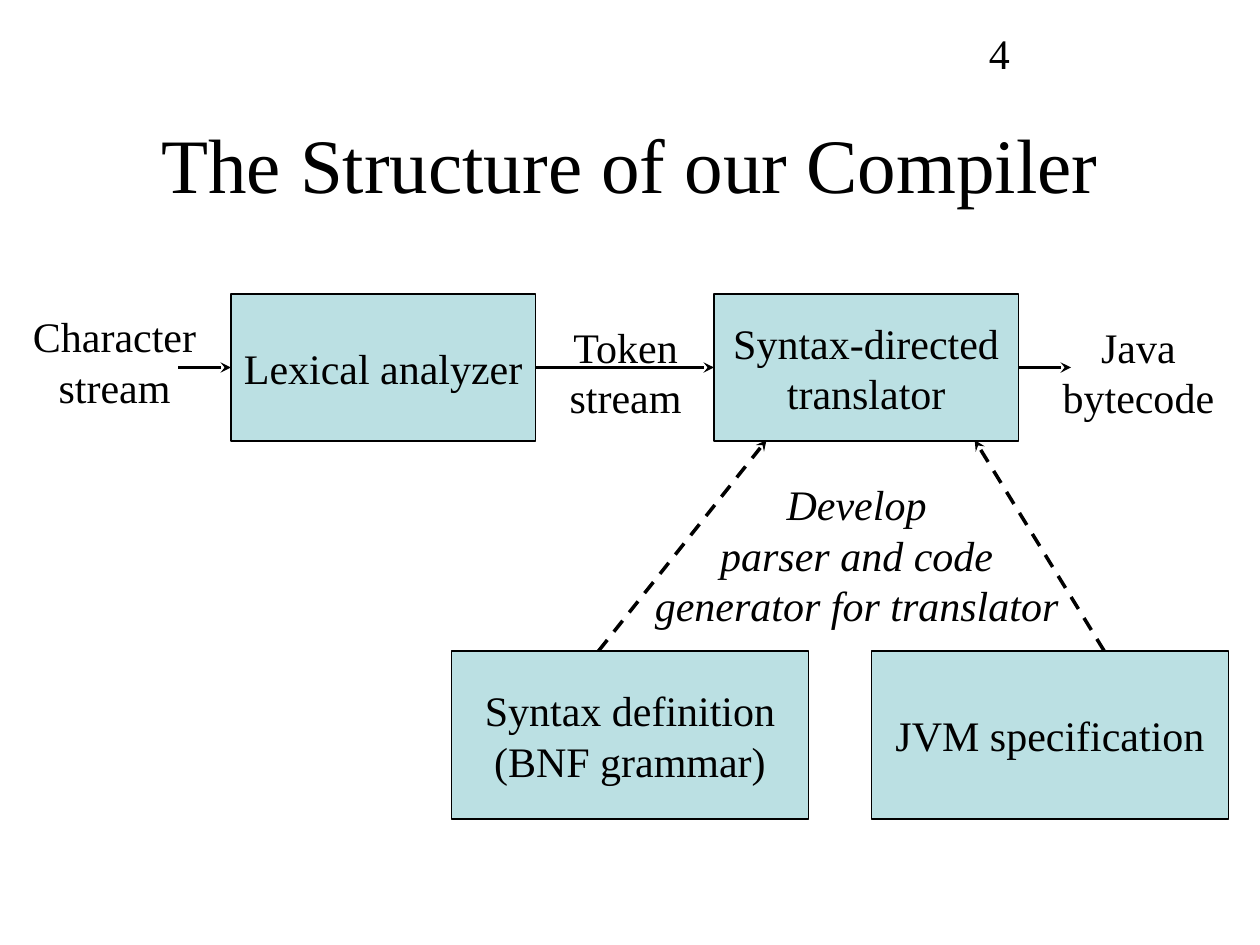
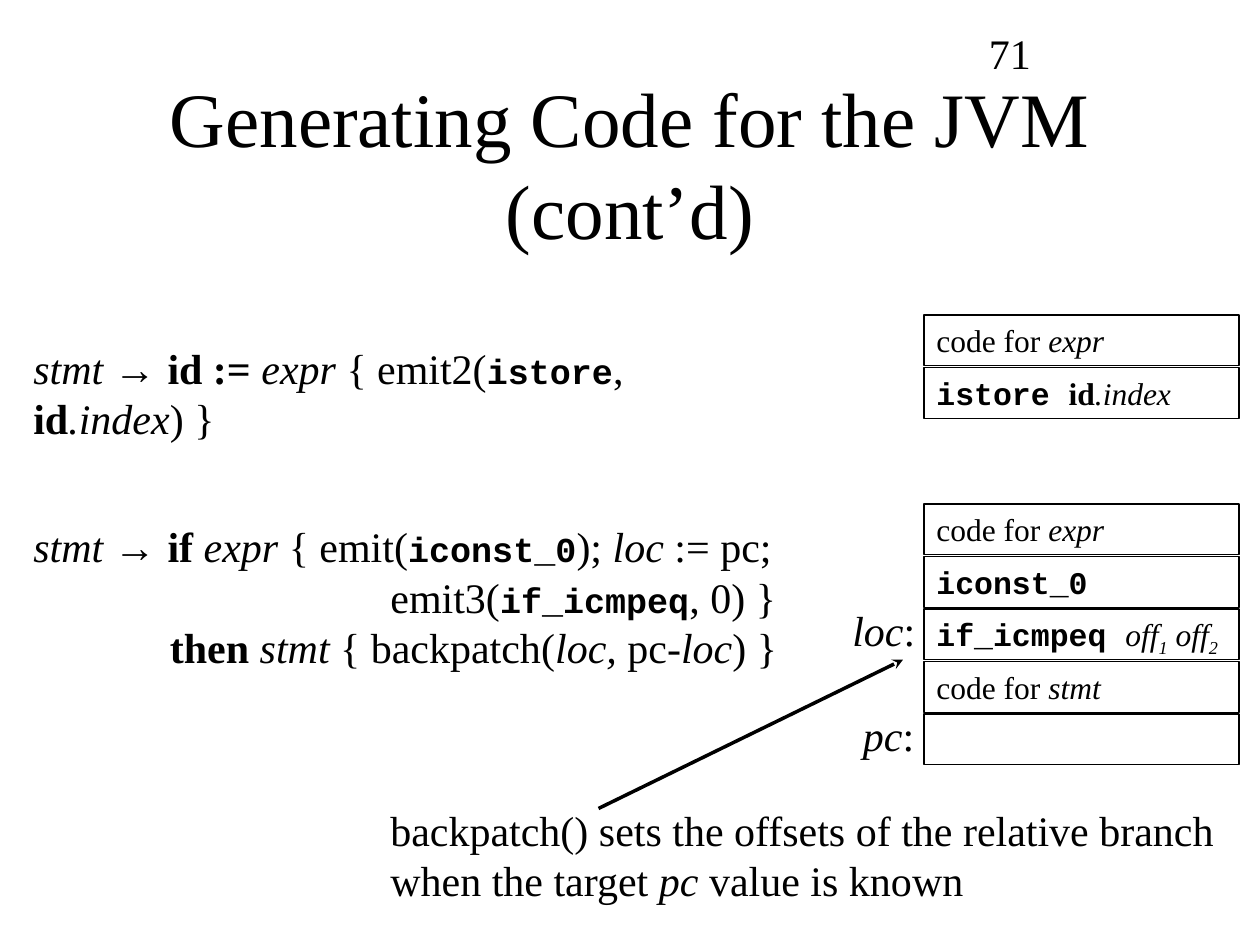
from typing import NamedTuple

import lxml.etree
import pptx
import pptx.dml.color
import pptx.enum.dml
import pptx.enum.shapes
import pptx.enum.text
import pptx.oxml.ns
import pptx.util

Pt = pptx.util.Pt
ALIGN = pptx.enum.text.PP_ALIGN
ANCHOR = pptx.enum.text.MSO_ANCHOR
FIT = pptx.enum.text.MSO_AUTO_SIZE
qn = pptx.oxml.ns.qn

# Shared look
COLORS = {"ink": "000000", "stage": "BBE0E3"}
SERIF, SANS, MONO = "Times New Roman", "Arial", "Courier New"
BODY, CODE, ROW = 24, 20, 18
STYLES = {
    "plain": {"name": SERIF},
    "italic": {"name": SERIF, "italic": True},
    "bold": {"name": SERIF, "bold": True},
    "arrow": {"name": SANS},
    "code": {"name": MONO, "bold": True},
    "sub": {"name": SERIF, "italic": True},
}
ROW_LEFT, ROW_WIDTH, ROW_HEIGHT, ROW_PITCH = 528, 180, 29, 30


class Run(NamedTuple):
    text: str
    style: str = "plain"
    size: float = BODY


class Line(NamedTuple):
    runs: list[Run]
    indent: float = 0


class Area(NamedTuple):
    left: float
    top: float
    width: float
    height: float


class Stage(NamedTuple):
    area: Area
    text: str


class Label(NamedTuple):
    area: Area
    lines: list[Line]
    align: ALIGN = ALIGN.LEFT
    wrap: bool = False


class Arrow(NamedTuple):
    start: tuple[float, float]
    end: tuple[float, float]
    dashed: bool = False


def color(key: str) -> pptx.dml.color.RGBColor:
    return pptx.dml.color.RGBColor.from_string(COLORS[key])


def plain_lines(text: str, style: str = "plain") -> list[Line]:
    return [Line([Run(part, style)]) for part in text.split("\n")]


def points(area: Area) -> list[pptx.util.Length]:
    return [Pt(value) for value in area]


def write(frame, lines: list[Line], align: ALIGN, wrap: bool = False,
          anchor: ANCHOR = ANCHOR.TOP) -> None:
    settings = {"word_wrap": wrap, "auto_size": FIT.NONE, "vertical_anchor": anchor}
    for key, value in settings.items():
        setattr(frame, key, value)
    for index, line in enumerate(lines):
        paragraph = frame.add_paragraph() if index else frame.paragraphs[0]
        paragraph.alignment = align
        if line.indent:
            properties = paragraph._p.get_or_add_pPr()
            properties.set("marL", str(Pt(line.indent)))
            properties.set("indent", "0")
        for part in line.runs:
            run = paragraph.add_run()
            run.text = part.text
            for key, value in {"size": Pt(part.size), **STYLES[part.style]}.items():
                setattr(run.font, key, value)
            run.font.color.rgb = color("ink")
            if part.style == "sub":
                run._r.get_or_add_rPr().set("baseline", "-25000")


def add_label(slide, label: Label) -> None:
    box = slide.shapes.add_textbox(*points(label.area))
    write(box.text_frame, label.lines, label.align, label.wrap)


def add_box(slide, area: Area, fill: str = ""):
    box = slide.shapes.add_shape(pptx.enum.shapes.MSO_SHAPE.RECTANGLE, *points(area))
    box.shadow.inherit = False
    if fill:
        box.fill.solid()
        box.fill.fore_color.rgb = color(fill)
    else:
        box.fill.background()
    box.line.color.rgb = color("ink")
    box.line.width = Pt(0.75)
    return box


def add_stage(slide, stage: Stage) -> None:
    box = add_box(slide, stage.area, "stage")
    write(box.text_frame, plain_lines(stage.text), ALIGN.CENTER, anchor=ANCHOR.MIDDLE)


def add_code_rows(slide, top: float, rows: list[list[Run]]) -> None:
    for index, runs in enumerate(rows):
        area = Area(ROW_LEFT, top + index * ROW_PITCH, ROW_WIDTH, ROW_HEIGHT)
        row = add_box(slide, area)
        if runs:
            write(row.text_frame, [Line(runs)], ALIGN.LEFT, True)


def add_arrow(slide, arrow: Arrow) -> None:
    link = slide.shapes.add_connector(
        pptx.enum.shapes.MSO_CONNECTOR.STRAIGHT,
        *[Pt(value) for value in arrow.start + arrow.end])
    link.line.color.rgb = color("ink")
    link.line.width = Pt(2)
    if arrow.dashed:
        link.line.dash_style = pptx.enum.dml.MSO_LINE.DASH
    outline = link.line._get_or_add_ln()
    lxml.etree.SubElement(outline, qn("a:tailEnd"), type="stealth")
    lxml.etree.SubElement(link._element.spPr, qn("a:effectLst"))


def new_slide(deck, title: str, number: str):
    slide = deck.slides.add_slide(deck.slide_layouts[5])
    heading = slide.shapes.title
    places = dict(zip(("left", "top", "width", "height"), points(Area(54, 48, 612, 90))))
    for key, value in places.items():
        setattr(heading, key, value)
    write(heading.text_frame, [Line([Run(title, size=44)])], ALIGN.CENTER, True,
          ANCHOR.MIDDLE)
    add_label(slide, Label(Area(558, 12, 150, 35), plain_lines(number), wrap=True))
    return slide


def build_structure(deck) -> None:
    slide = new_slide(deck, "The Structure of our Compiler", "4")

    # Compiler stages and the definitions that feed them
    stages = [
        Stage(Area(132, 168, 174, 84), "Lexical analyzer"),
        Stage(Area(408, 168, 174, 84), "Syntax-directed\ntranslator"),
        Stage(Area(258, 372, 204, 96), "Syntax definition\n(BNF grammar)"),
        Stage(Area(498, 372, 204, 96), "JVM specification"),
    ]
    for stage in stages:
        add_stage(slide, stage)

    # Streams between the stages
    streams = [
        (Area(12, 174, 107, 65), "Character\nstream", "plain"),
        (Area(318, 180, 79, 65), "Token\nstream", "plain"),
        (Area(600, 180, 101, 65), "Java\nbytecode", "plain"),
        (Area(367, 270, 245, 94), "Develop\nparser and code\ngenerator for translator",
         "italic"),
    ]
    for area, text, style in streams:
        add_label(slide, Label(area, plain_lines(text, style), ALIGN.CENTER))

    # Flow
    flow = [Arrow((start, 210), (end, 210))
            for start, end in ((102, 132), (306, 408), (582, 612))]
    inputs = [Arrow((342, 372), (438, 251.5), True), Arrow((631, 372), (557, 251.5), True)]
    for arrow in flow + inputs:
        add_arrow(slide, arrow)


def build_code_generation(deck) -> None:
    slide = new_slide(deck, "Generating Code for the JVM (cont’d)", "71")

    # Translation rules
    produces = [Run("stmt ", "italic"), Run("→ ", "arrow")]
    assignment = [Line(produces + [
        Run("id := ", "bold"), Run("expr", "italic"), Run(" { emit2("),
        Run("istore", "code", CODE), Run(", "), Run("id", "bold"),
        Run(".index", "italic"), Run(") }")])]
    conditional = [
        Line(produces + [
            Run("if ", "bold"), Run("expr ", "italic"), Run("{ emit("),
            Run("iconst_0", "code", CODE), Run("); "), Run("loc", "italic"),
            Run(" := pc;")]),
        Line([Run("emit3("), Run("if_icmpeq", "code", CODE), Run(", 0) }")], 204),
        Line([Run("then ", "bold"), Run("stmt ", "italic"), Run("{ backpatch("),
              Run("loc, ", "italic"), Run("pc"), Run("-loc", "italic"), Run(") }")], 78),
    ]
    backpatch = [
        Line([Run("backpatch() sets the offsets of the relative branch")]),
        Line([Run("when the target "), Run("pc", "italic"), Run(" value is known")]),
    ]
    labels = [
        Label(Area(12, 192, 454, 36), assignment, wrap=True),
        Label(Area(12, 294, 439, 94), conditional),
        Label(Area(216, 456, 485, 65), backpatch),
        Label(Area(480, 342, 50, 36), [Line([Run("loc", "italic"), Run(":")])]),
        Label(Area(486, 402, 43, 36), [Line([Run("pc", "italic"), Run(":")])]),
    ]
    for label in labels:
        add_label(slide, label)

    # Generated code
    expression = [Run("code for ", size=ROW), Run("expr", "italic", ROW)]
    add_code_rows(slide, 180, [
        expression,
        [Run("istore ", "code", ROW), Run("id", "bold", ROW), Run(".index", "italic", ROW)],
    ])
    add_code_rows(slide, 288, [
        expression,
        [Run("iconst_0", "code", ROW)],
        [Run("if_icmpeq ", "code", ROW), Run("off", "italic", ROW), Run("1", "sub", ROW),
         Run(" off", "italic", ROW), Run("2", "sub", ROW)],
        [Run("code for ", size=ROW), Run("stmt", "italic", ROW)],
        [],
    ])
    add_arrow(slide, Arrow((342, 462), (516, 377)))


def main() -> None:
    deck = pptx.Presentation()
    deck.slide_width, deck.slide_height = Pt(720), Pt(540)
    build_structure(deck)
    build_code_generation(deck)
    deck.save("out.pptx")


if __name__ == "__main__":
    main()
